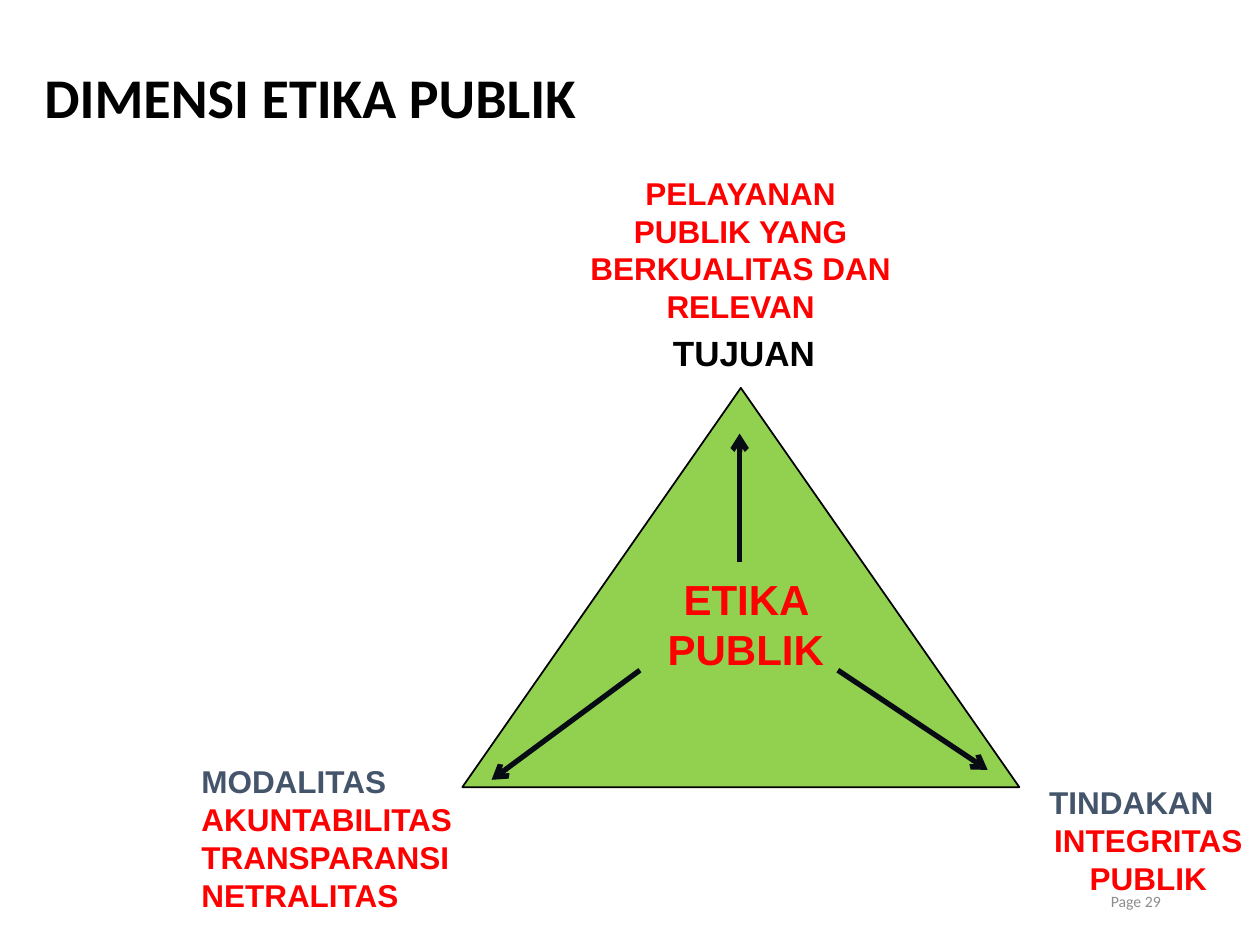
import pptx
import pptx.util
import pptx.dml.color
import pptx.enum.shapes
import pptx.enum.text
import pptx.oxml
import pptx.oxml.ns
import lxml.etree

Cm = pptx.util.Cm
Pt = pptx.util.Pt
RGBColor = pptx.dml.color.RGBColor
ALIGN = pptx.enum.text.PP_ALIGN
ANCHOR = pptx.enum.text.MSO_ANCHOR
qn = pptx.oxml.ns.qn

BLACK = RGBColor(0x00, 0x00, 0x00)
RED = RGBColor(0xFF, 0x00, 0x00)
SLATE = RGBColor(0x44, 0x54, 0x6A)
GREEN = RGBColor(0x92, 0xD0, 0x50)
INK = RGBColor(0x06, 0x0B, 0x14)
GRAY = RGBColor(0x8C, 0x8C, 0x8C)

TITLE = "DIMENSI ETIKA PUBLIK"
TITLE_BOX = (0.64, 0.84, 23.6, 2.36)
TRIANGLE_BOX = (9.32, 7.82, 11.23, 8.05)

LABELS = [
    ((13.13, 11.43, 3.81, 2.31), 24, [("ETIKA PUBLIK", RED, ALIGN.CENTER)]),
    ((12.5, 6.55, 5, 1.12), 20, [("TUJUAN", BLACK, ALIGN.CENTER)]),
    ((3.81, 15.24, 5.99, 3.33), 18, [
        ("MODALITAS", SLATE, ALIGN.LEFT),
        ("AKUNTABILITAS", RED, ALIGN.LEFT),
        ("TRANSPARANSI", RED, ALIGN.LEFT),
        ("NETRALITAS", RED, ALIGN.LEFT),
    ]),
    ((20.9, 15.67, 4.5, 2.57), 18, [
        ("TINDAKAN", SLATE, ALIGN.LEFT),
        ("INTEGRITAS PUBLIK", RED, ALIGN.CENTER),
    ]),
    ((11.63, 3.38, 6.6, 3.33), 18, [
        ("PELAYANAN PUBLIK YANG BERKUALITAS DAN RELEVAN", RED, ALIGN.CENTER),
    ]),
]
PAGE = ((17.93, 17.65, 5.72, 1.02), 9, [("Page 29", GRAY, ALIGN.RIGHT)])

ARROWS = [
    ((12.9, 13.51), (9.91, 15.72)),
    ((16.89, 13.51), (19.91, 15.52)),
    ((14.91, 11.33), (14.91, 8.74)),
]


def lengths(values):
    return [Cm(value) for value in values]


def write(paragraph, wording, size, color, align, font, bold):
    paragraph.alignment = align
    run = paragraph.add_run()
    run.text = wording
    run.font.name = font
    run.font.size = Pt(size)
    run.font.bold = bold
    run.font.color.rgb = color


def add_label(slide, box, size, lines, font="Arial", bold=True, anchor=ANCHOR.TOP):
    frame = slide.shapes.add_textbox(*lengths(box)).text_frame
    frame.word_wrap = True
    frame.vertical_anchor = anchor
    for index, (wording, color, align) in enumerate(lines):
        paragraph = frame.add_paragraph() if index else frame.paragraphs[0]
        write(paragraph, wording, size, color, align, font, bold)


def add_arrow(slide, start, end):
    arrow = slide.shapes.add_connector(
        pptx.enum.shapes.MSO_CONNECTOR.STRAIGHT, *lengths(start + end))
    arrow.line.color.rgb = INK
    arrow.line.width = Pt(3)
    lxml.etree.SubElement(arrow.line._get_or_add_ln(), qn("a:tailEnd"), type="arrow")
    lxml.etree.SubElement(arrow._element.spPr, qn("a:effectLst"))


def main():
    deck = pptx.Presentation()
    deck.slide_width, deck.slide_height = Cm(25.4), Cm(19.05)
    slide = deck.slides.add_slide(deck.slide_layouts[5])

    title = slide.shapes.title
    title.left, title.top, title.width, title.height = lengths(TITLE_BOX)
    title.text_frame.vertical_anchor = ANCHOR.MIDDLE
    heading = title.text_frame.paragraphs[0]
    heading.line_spacing = 0.9
    write(heading, TITLE, 32, BLACK, ALIGN.LEFT, "Calibri", True)

    triangle = slide.shapes.add_shape(
        pptx.enum.shapes.MSO_SHAPE.ISOSCELES_TRIANGLE, *lengths(TRIANGLE_BOX))
    triangle.shadow.inherit = False
    triangle.fill.solid()
    triangle.fill.fore_color.rgb = GREEN
    triangle.line.color.rgb = BLACK
    triangle.line.width = Pt(1)

    for start, end in ARROWS:
        add_arrow(slide, start, end)
    for label in LABELS:
        add_label(slide, *label)
    add_label(slide, *PAGE, font="Calibri", bold=False, anchor=ANCHOR.MIDDLE)

    deck.save("out.pptx")


if __name__ == "__main__":
    main()
